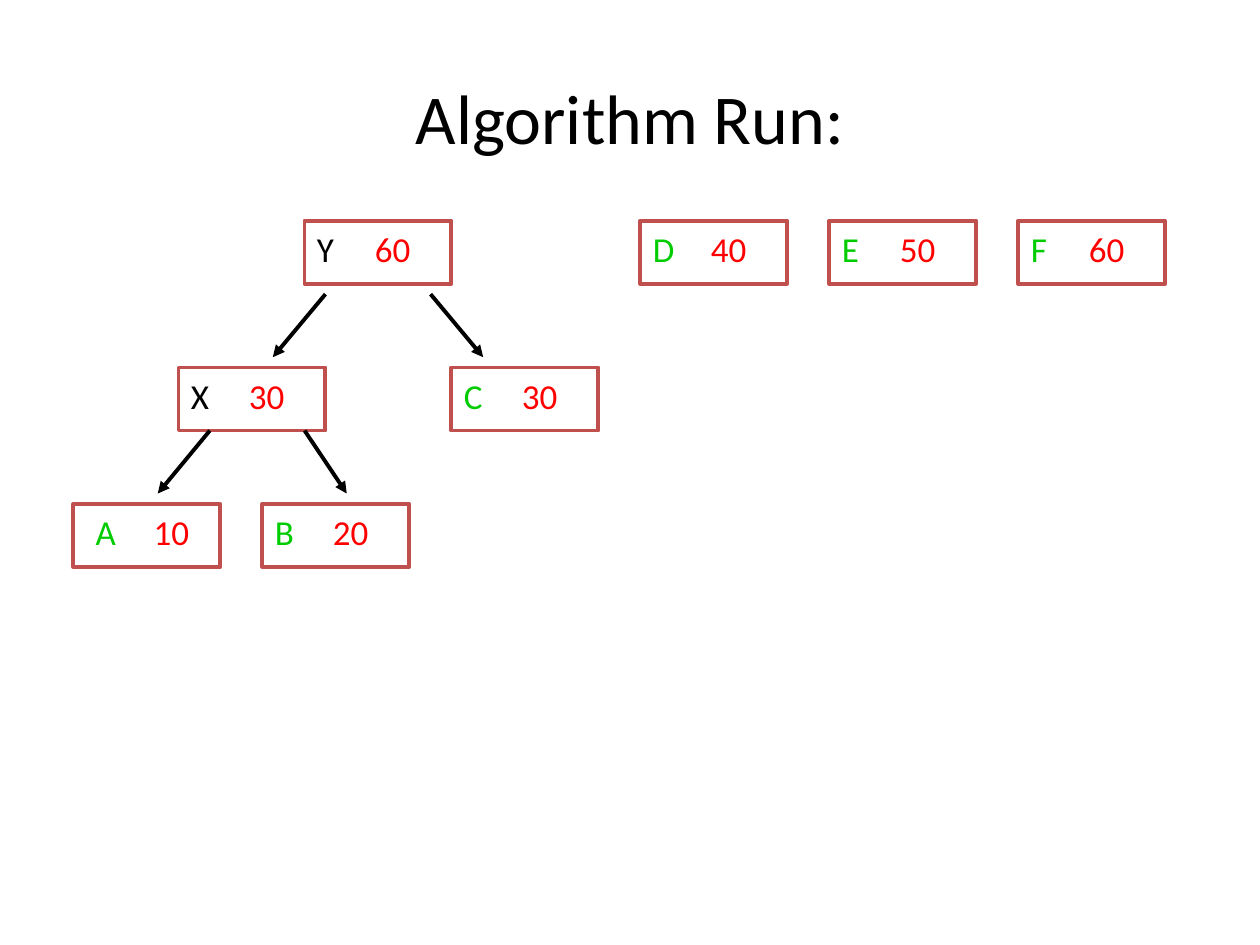
from lxml import etree
from pptx import Presentation
from pptx import util as u
from pptx.dml.color import RGBColor
from pptx.enum import shapes, text
from pptx.oxml.ns import qn

BLACK, GREEN, RED, BRICK = "000000", "00CC00", "FF0000", "C0504D"
WIDE, HIGH, STEP = 2.96, 1.27, 3.81
LEFT = 1.48
TOP, MID, LOW = 4.45, 7.41, 10.16
INSET = 0.25

NODES = [
    ("A", "10", LEFT, LOW, GREEN),
    ("B", "20", LEFT + STEP, LOW, GREEN),
    ("C", "30", LEFT + 2 * STEP, MID, GREEN),
    ("D", "40", LEFT + 3 * STEP, TOP, GREEN),
    ("E", "50", LEFT + 4 * STEP, TOP, GREEN),
    ("F", "60", LEFT + 5 * STEP, TOP, GREEN),
    ("X", "30", 3.6, MID, BLACK),
    ("Y", "60", 6.14, TOP, BLACK),
]
ARROWS = [
    (4.23, 8.68, 3.18, 9.95),
    (6.14, 8.68, 6.99, 9.95),
    (6.56, 5.93, 5.5, 7.2),
    (8.68, 5.93, 9.74, 7.2),
]
NUDGE = {"A": 0.2}


def paint(part, shade):
    part.rgb = RGBColor.from_string(shade)


def write(para, words, size=20, shade=BLACK):
    run = para.add_run()
    run.text = words
    run.font.name = "Calibri"
    run.font.size = u.Pt(size)
    paint(run.font.color, shade)


def add_tab(para, pos):
    stops = etree.SubElement(para._p.get_or_add_pPr(), qn("a:tabLst"))
    etree.SubElement(stops, qn("a:tab"), pos=str(u.Cm(pos)), algn="l")


def add_node(slide, name, count, left, top, shade):
    box = slide.shapes.add_shape(
        shapes.MSO_SHAPE.RECTANGLE, u.Cm(left), u.Cm(top), u.Cm(WIDE), u.Cm(HIGH))
    box.shadow.inherit = False
    box.fill.background()
    paint(box.line.color, BRICK)
    box.line.width = u.Pt(2.25)
    frame = box.text_frame
    frame.word_wrap = True
    frame.vertical_anchor = text.MSO_ANCHOR.TOP
    frame.margin_left = u.Cm(INSET + NUDGE.get(name, 0))
    frame.margin_right = 0
    frame.margin_top = frame.margin_bottom = u.Cm(0.13)
    para = frame.paragraphs[0]
    para.alignment = text.PP_ALIGN.LEFT
    add_tab(para, 1.17)
    write(para, name + "\t", shade=shade)
    write(para, count, shade=RED)


def add_arrow(slide, *ends):
    arrow = slide.shapes.add_connector(
        shapes.MSO_CONNECTOR.STRAIGHT, *[u.Cm(end) for end in ends])
    paint(arrow.line.color, BLACK)
    arrow.line.width = u.Pt(2.25)
    etree.SubElement(arrow.line._get_or_add_ln(), qn("a:tailEnd"), type="triangle")
    etree.SubElement(arrow._element.spPr, qn("a:effectLst"))


def main():
    deck = Presentation()
    deck.slide_width, deck.slide_height = u.Cm(25.4), u.Cm(19.05)
    slide = deck.slides.add_slide(deck.slide_layouts[5])
    title = slide.shapes.title
    title.left, title.top = u.Cm(1.27), u.Cm(0.76)
    title.width, title.height = u.Cm(22.86), u.Cm(3.18)
    title.text_frame.vertical_anchor = text.MSO_ANCHOR.MIDDLE
    head = title.text_frame.paragraphs[0]
    head.alignment = text.PP_ALIGN.CENTER
    write(head, "Algorithm Run:", size=40)
    for node in NODES:
        add_node(slide, *node)
    for ends in ARROWS:
        add_arrow(slide, *ends)
    deck.save("out.pptx")


if __name__ == "__main__":
    main()
